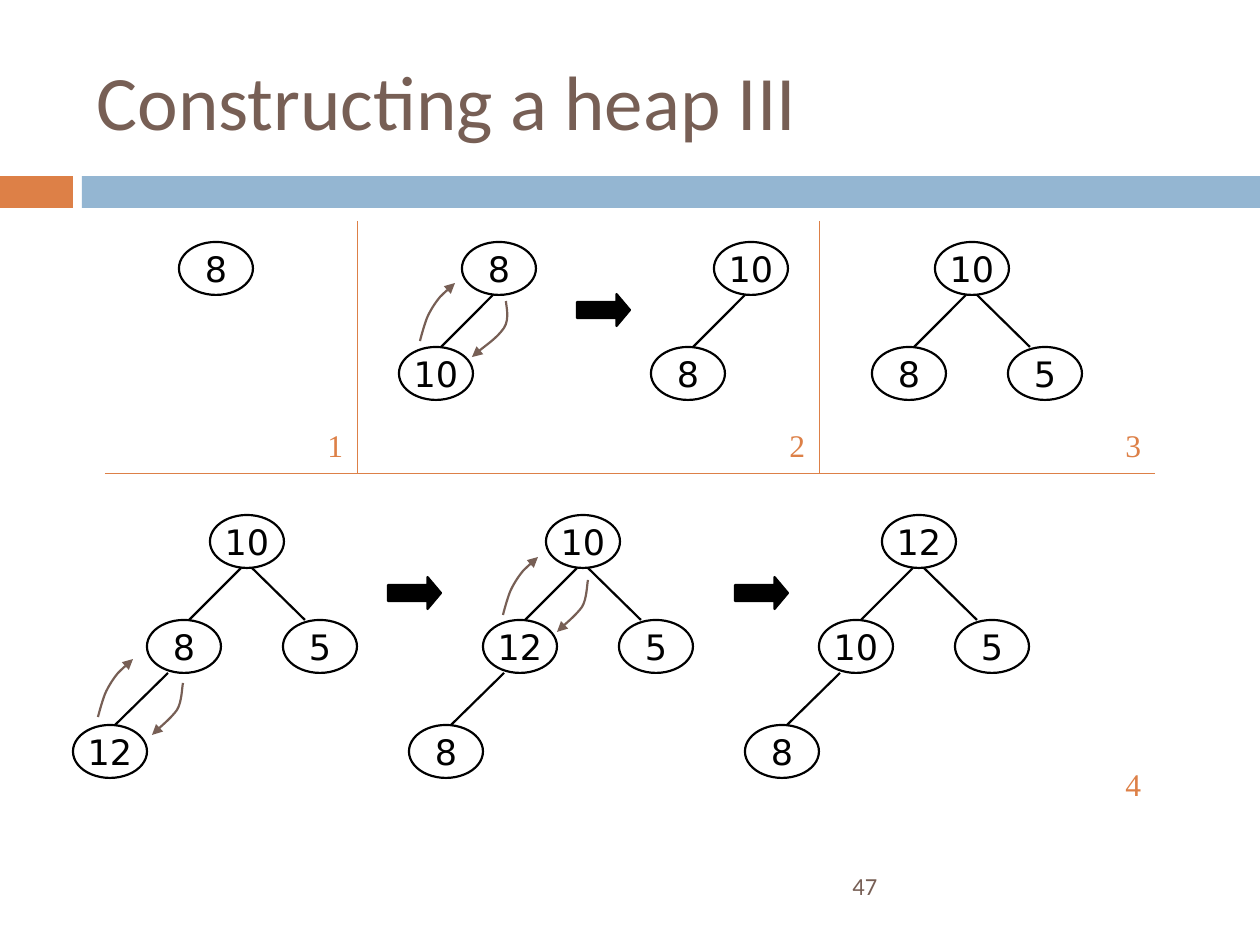
from dataclasses import dataclass

from lxml.etree import SubElement
from pptx import Presentation
from pptx.dml.color import RGBColor
from pptx.enum.shapes import MSO_CONNECTOR, MSO_SHAPE
from pptx.enum.text import MSO_ANCHOR, PP_ALIGN
from pptx.oxml.ns import qn
from pptx.util import Pt

EMU_PER_PX = 914400 / 126


@dataclass(frozen=True)
class Theme:
    brown: RGBColor = RGBColor(0x77, 0x5F, 0x55)
    orange: RGBColor = RGBColor(0xDD, 0x80, 0x47)
    blue: RGBColor = RGBColor(0x94, 0xB6, 0xD2)
    black: RGBColor = RGBColor(0, 0, 0)
    heading_font: str = "Calibri"
    node_font: str = "DejaVu Sans"
    label_font: str = "Times New Roman"
    title_size: int = 44
    node_size: int = 20
    label_size: int = 18
    page_size: int = 14
    line: float = 1.25
    divider: float = 0.5


THEME = Theme()
NODE_W, NODE_H = 74, 53
NODE_OFFSETS = [(0, 0), (-63, 105), (73, 105), (-137, 210)]
EDGES = [None, (31, 53, -21, 105), (42, 53, 95, 105), (-42, 158, -95, 210)]
ROW_1, ROW_2 = 242, 515
TREES = [
    (179, ROW_1, [8]),
    (462, ROW_1, [8, 10]),
    (714, ROW_1, [10, 8]),
    (935, ROW_1, [10, 8, 5]),
    (210, ROW_2, [10, 8, 5, 12]),
    (546, ROW_2, [10, 12, 5, 8]),
    (882, ROW_2, [12, 10, 5, 8]),
]
UP = [(0, 58), (1, 54), (4, 43), (7, 35), (10, 28),
      (15, 20), (20, 14), (25, 9), (33, 2), (35, 0)]
DOWN = [(31, 0), (30, 4), (30, 19), (25, 27), (19, 35), (5, 47), (0, 52)]
WIDE_DOWN = [(34, 0), (34, 4), (38, 18), (32, 27), (25, 37), (6, 50), (0, 56)]
SWAPS = [
    ((420, 283, UP), (472, 301, WIDE_DOWN)),
    ((98, 659, UP), (152, 683, DOWN)),
    ((503, 557, UP), (557, 580, DOWN)),
]
STEP_ARROWS = [(577, 294), (388, 577), (735, 577)]
DIVIDERS = [(105, 473, 1155, 473), (357, 221, 357, 473), (819, 221, 819, 473)]
LABELS = [("1", 315, 420), ("2", 777, 420), ("3", 1113, 420), ("4", 1113, 759)]


def px(*values):
    return [round(v * EMU_PER_PX) for v in values]


def set_text(sp, text, font, size, color, align=PP_ALIGN.LEFT, anchor=MSO_ANCHOR.MIDDLE):
    tf = sp.text_frame
    tf.text = text
    tf.word_wrap = True
    tf.vertical_anchor = anchor
    p = tf.paragraphs[0]
    p.alignment = align
    r = p.runs[0]
    r.font.name = font
    r.font.size = Pt(size)
    r.font.color.rgb = color


def set_line(sp, color, width):
    sp.line.color.rgb = color
    sp.line.width = Pt(width)


def add_title(s, text):
    sp = s.shapes.title
    sp.left, sp.top, sp.width, sp.height = px(84, 32, 1124, 136)
    set_text(sp, text, THEME.heading_font, THEME.title_size, THEME.brown)


def add_text(s, text, box, font, size, color, anchor):
    sp = s.shapes.add_textbox(*px(*box))
    set_text(sp, text, font, size, color, anchor=anchor)


def add_solid(s, kind, box, color):
    sp = s.shapes.add_shape(kind, *px(*box))
    sp.shadow.inherit = False
    sp.fill.solid()
    sp.fill.fore_color.rgb = color
    sp.line.fill.background()
    return sp


def add_step_arrow(s, x, y):
    sp = add_solid(s, MSO_SHAPE.RIGHT_ARROW, (x, y, 53, 32), THEME.black)
    sp.adjustments[0] = 0.5
    sp.adjustments[1] = 0.42
    set_line(sp, THEME.black, THEME.line)


def add_line(shapes, ends, color, width):
    cn = shapes.add_connector(MSO_CONNECTOR.STRAIGHT, *px(*ends))
    set_line(cn, color, width)
    SubElement(cn._element.spPr, qn("a:effectLst"))


def add_node(shapes, x, y, value):
    sp = shapes.add_shape(MSO_SHAPE.OVAL, *px(x, y, NODE_W, NODE_H))
    sp.shadow.inherit = False
    sp.fill.background()
    set_line(sp, THEME.black, THEME.line)
    set_text(sp, str(value), THEME.node_font, THEME.node_size, THEME.black, PP_ALIGN.CENTER)
    sp.text_frame.word_wrap = False


def add_tree(s, x, y, heap):
    shapes = s.shapes.add_group_shape().shapes
    for value, (dx, dy), edge in zip(heap, NODE_OFFSETS, EDGES):
        add_node(shapes, x + dx, y + dy, value)
        if edge:
            x1, y1, x2, y2 = edge
            add_line(shapes, (x + x1, y + y1, x + x2, y + y2), THEME.black, THEME.line)


def add_curve(shapes, x, y, points):
    start, *rest = [(x + dx, y + dy) for dx, dy in points]
    builder = shapes.build_freeform(*start, scale=EMU_PER_PX)
    builder.add_line_segments(rest, close=False)
    sp = builder.convert_to_shape()
    sp.shadow.inherit = False
    sp.fill.background()
    set_line(sp, THEME.brown, THEME.line)
    outline = next(sp._element.iter(qn("a:path")))
    segments = outline.findall(qn("a:lnTo"))
    for i in range(0, len(segments), 3):
        curve = SubElement(outline, qn("a:cubicBezTo"))
        for segment in segments[i:i + 3]:
            curve.append(segment[0])
            outline.remove(segment)
    SubElement(sp.line._get_or_add_ln(), qn("a:tailEnd"), type="triangle")


def add_swap(s, curves):
    shapes = s.shapes.add_group_shape().shapes
    for x, y, points in curves:
        add_curve(shapes, x, y, points)


def main():
    prs = Presentation()
    prs.slide_width, prs.slide_height = px(1260, 945)
    s = prs.slides.add_slide(prs.slide_layouts[5])
    add_solid(s, MSO_SHAPE.RECTANGLE, (0, 176, 73, 32), THEME.orange)
    add_solid(s, MSO_SHAPE.RECTANGLE, (82, 176, 1178, 32), THEME.blue)
    add_text(s, "47", (840, 861, 368, 50), THEME.heading_font, THEME.page_size,
             THEME.brown, MSO_ANCHOR.MIDDLE)
    add_title(s, "Constructing a heap III")
    for ends in DIVIDERS:
        add_line(s.shapes, ends, THEME.orange, THEME.divider)
    for x, y, heap in TREES:
        add_tree(s, x, y, heap)
    for curves in SWAPS:
        add_swap(s, curves)
    for x, y in STEP_ARROWS:
        add_step_arrow(s, x, y)
    for text, x, y in LABELS:
        add_text(s, text, (x, y, 53, 50), THEME.label_font, THEME.label_size,
                 THEME.orange, MSO_ANCHOR.TOP)
    prs.save("out.pptx")


if __name__ == "__main__":
    main()
